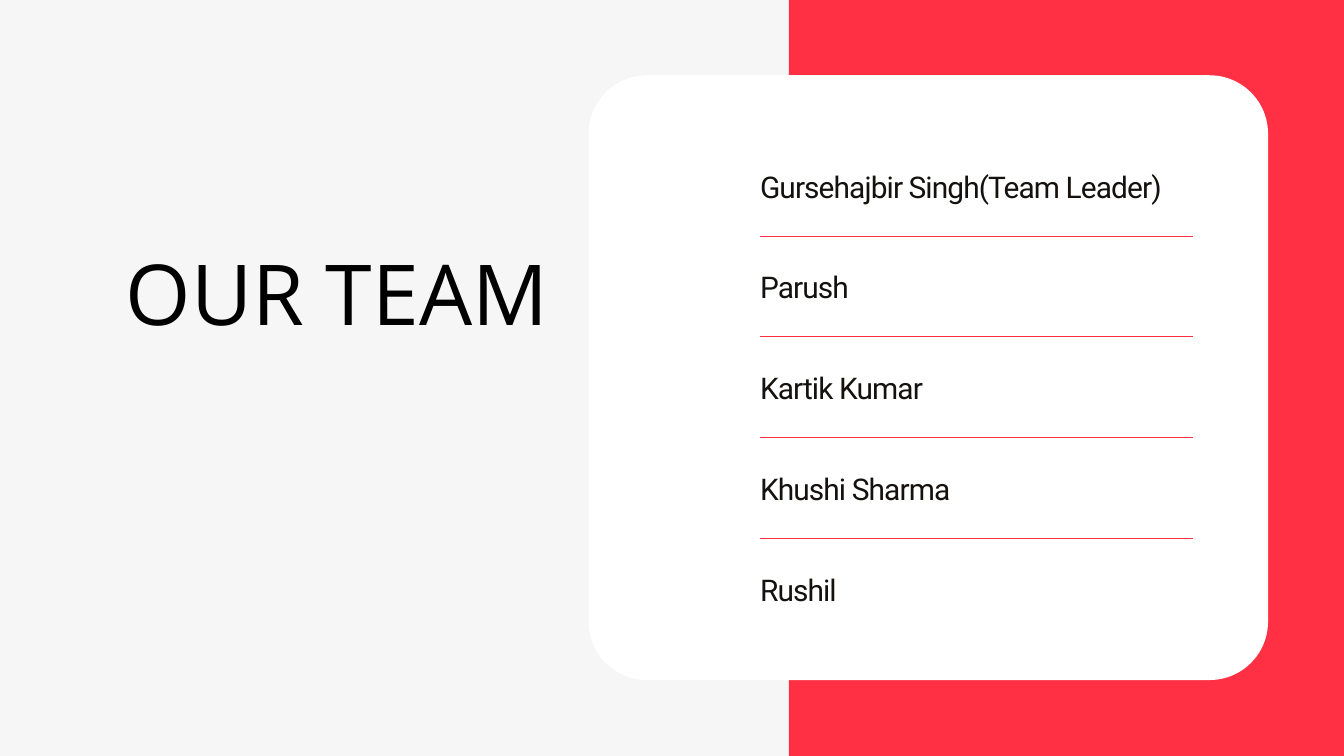
from pptx import Presentation
from pptx.dml.color import RGBColor
from pptx.enum.shapes import MSO_CONNECTOR, MSO_SHAPE
from pptx.enum.text import MSO_ANCHOR, MSO_AUTO_SIZE, PP_ALIGN
from pptx.oxml.ns import qn
from pptx.util import Pt
from lxml.etree import SubElement

EMU_PER_PX = 9144
SLIDE_WIDTH, SLIDE_HEIGHT = 2000, 1125

GREY = RGBColor(0xF6, 0xF6, 0xF6)
RED = RGBColor(0xFF, 0x30, 0x43)
WHITE = RGBColor(0xFF, 0xFF, 0xFF)
INK = RGBColor(0x14, 0x11, 0x0F)
BLACK = RGBColor(0x00, 0x00, 0x00)

TITLE_FONT = {"name": "Open Sans", "size": Pt(90), "bold": False}
MEMBER_FONT = {"name": "Roboto", "size": Pt(32), "bold": False}
FRAME_FORMAT = {
    "margin_left": 0, "margin_top": 0, "margin_right": 0, "margin_bottom": 0,
    "word_wrap": True, "auto_size": MSO_AUTO_SIZE.NONE,
    "vertical_anchor": MSO_ANCHOR.TOP,
}
MEMBERS = ["Gursehajbir Singh(Team Leader)", "Parush", "Kartik Kumar",
           "Khushi Sharma", "Rushil"]


def to_emu(*lengths):
    """Turn px lengths into EMU."""
    return [length * EMU_PER_PX for length in lengths]


def set_attributes(target, values):
    """Set each named attribute of the target."""
    for name, value in values.items():
        setattr(target, name, value)


def write_text(shape, text, font, color, paragraph_format):
    """Write one formatted line of text into the shape and return its run."""
    set_attributes(shape.text_frame, FRAME_FORMAT)
    paragraph = shape.text_frame.paragraphs[0]
    set_attributes(paragraph, paragraph_format)
    run = paragraph.add_run()
    run.text = text
    set_attributes(run.font, font)
    run.font.color.rgb = color
    return run


def add_panel(slide, box, kind, color):
    """Add a plain filled shape without outline or shadow."""
    shape = slide.shapes.add_shape(kind, *to_emu(*box))
    shape.shadow.inherit = False
    shape.fill.solid()
    shape.fill.fore_color.rgb = color
    shape.line.fill.background()
    return shape


def add_divider(slide, left, top, width):
    """Add a thin red horizontal line."""
    line = slide.shapes.add_connector(
        MSO_CONNECTOR.STRAIGHT, *to_emu(left, top, left + width, top))
    line.line.color.rgb = RED
    line.line.width = Pt(0.75)
    SubElement(line._element.spPr, qn("a:effectLst"))


def add_team_card(slide, box, members):
    """Add the rounded card with its evenly spaced members and dividers."""
    left, top, width, height = box
    card = add_panel(slide, box, MSO_SHAPE.ROUNDED_RECTANGLE, WHITE)
    card.adjustments[0] = 87 / height
    row_left, row_width, row_span = left + 255, 645, 599
    for index, member in enumerate(members):
        row_top = top + 126 + index * row_span // (len(members) - 1)
        if index < len(members) - 1:
            add_divider(slide, row_left, row_top + 114, row_width)
        label = slide.shapes.add_textbox(*to_emu(row_left, row_top, row_width, 66))
        run = write_text(label, member, MEMBER_FONT, INK, {"line_spacing": Pt(48)})
        run.font._element.set("spc", "-100")


def place_title(slide, box, text):
    """Move the title placeholder into the box and format it."""
    title = slide.shapes.title
    set_attributes(title, dict(zip(("left", "top", "width", "height"), to_emu(*box))))
    write_text(title, text, TITLE_FONT, BLACK,
               {"alignment": PP_ALIGN.CENTER, "line_spacing": Pt(126)})


def main():
    """Build the team slide and save it."""
    presentation = Presentation()
    presentation.slide_width, presentation.slide_height = to_emu(
        SLIDE_WIDTH, SLIDE_HEIGHT)
    slide = presentation.slides.add_slide(presentation.slide_layouts[5])
    slide.background.fill.solid()
    slide.background.fill.fore_color.rgb = GREY
    add_panel(slide, (1174, 0, SLIDE_WIDTH - 1174, SLIDE_HEIGHT),
              MSO_SHAPE.RECTANGLE, RED)
    add_team_card(slide, (876, 112, 1011, 900), MEMBERS)
    place_title(slide, (169, 334, 665, 168), "OUR TEAM")
    presentation.save("out.pptx")


if __name__ == "__main__":
    main()
